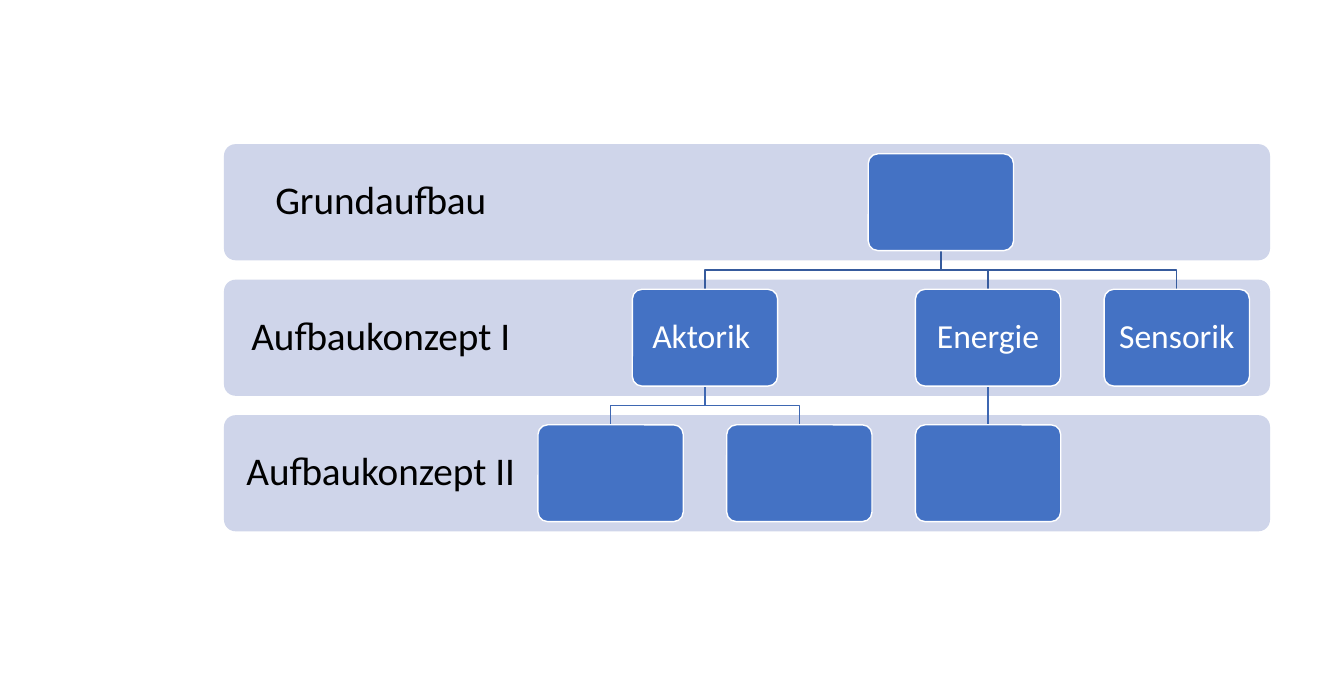
from lxml import etree
from pptx import Presentation
from pptx import util as u
from pptx.dml.color import RGBColor
from pptx.enum import shapes, text
from pptx.oxml.ns import qn

# Content: one band per level; a node is (column, caption)
LEVELS = [
    ("Grundaufbau", [(1.75, "")]),
    ("Aufbaukonzept I", [(0.5, "Aktorik "), (2, "Energie"), (3, "Sensorik")]),
    ("Aufbaukonzept II", [(0, ""), (1, ""), (2, "")]),
]
# Links from each level down to the next: (parent column, child column)
LINKS = [
    [(1.75, 0.5), (1.75, 2), (1.75, 3)],
    [(0.5, 0), (0.5, 1), (2, 2)],
]
COLORS = {"band": "CFD5EA", "node": "4472C4", "white": "FFFFFF", "black": "000000"}
LINK_COLORS = ["365B9D", "3E67B2"]
FONT = "Calibri"

# Geometry in points
PAGE_WIDTH, PAGE_HEIGHT = 960, 481.89
BAND_LEFT, BAND_TOP, BAND_WIDTH, BAND_HEIGHT = 160, 102.9, 747.2, 82.9
LEVEL_STEP = 96.75
LABEL_WIDTH, LABEL_MARGIN = 224, 10
NODE_WIDTH, NODE_HEIGHT, NODE_MARGIN = 103.8, 69.1, 6
FIRST_CENTER, COLUMN_STEP = 436.2, 134.8

deck = Presentation()
deck.slide_width, deck.slide_height = u.Pt(PAGE_WIDTH), u.Pt(PAGE_HEIGHT)
page = deck.slides.add_slide(deck.slide_layouts[6])


def center_x(column):
    return FIRST_CENTER + column * COLUMN_STEP


def node_top(level):
    return BAND_TOP + level * LEVEL_STEP + (BAND_HEIGHT - NODE_HEIGHT) / 2


def add_box(left, top, width, height, fill, line=None):
    box = page.shapes.add_shape(shapes.MSO_SHAPE.ROUNDED_RECTANGLE,
                                u.Pt(left), u.Pt(top), u.Pt(width), u.Pt(height))
    box.adjustments[0] = 0.1
    box.shadow.inherit = False
    box.fill.solid()
    box.fill.fore_color.rgb = RGBColor.from_string(COLORS[fill])
    if line:
        box.line.color.rgb = RGBColor.from_string(COLORS[line])
        box.line.width = u.Pt(1)
    else:
        box.line.fill.background()
    return box


def write(box, words, size, color, margin, right_margin):
    frame = box.text_frame
    frame.word_wrap = True
    frame.vertical_anchor = text.MSO_ANCHOR.MIDDLE
    frame.margin_left, frame.margin_right = u.Pt(margin), u.Pt(right_margin)
    para = frame.paragraphs[0]
    para.alignment = text.PP_ALIGN.CENTER
    para.line_spacing = 0.9
    span = para.add_run()
    span.text = words
    span.font.name, span.font.size = FONT, u.Pt(size)
    span.font.color.rgb = RGBColor.from_string(COLORS[color])


def add_link(level, parent, child):
    start, end = center_x(parent), center_x(child)
    top, bottom = node_top(level) + NODE_HEIGHT, node_top(level + 1)
    if parent == child:
        link = page.shapes.add_connector(shapes.MSO_CONNECTOR.STRAIGHT,
                                         u.Pt(start), u.Pt(top), u.Pt(end), u.Pt(bottom))
        etree.SubElement(link.element.spPr, qn("a:effectLst"))
    else:
        middle = (top + bottom) / 2
        corners = [(start, middle), (end, middle), (end, bottom)]
        builder = page.shapes.build_freeform(u.Pt(start), u.Pt(top))
        builder.add_line_segments([(u.Pt(x), u.Pt(y)) for x, y in corners], close=False)
        link = builder.convert_to_shape()
        link.fill.background()
        link.shadow.inherit = False
    link.line.color.rgb = RGBColor.from_string(LINK_COLORS[level])
    link.line.width = u.Pt(1)


# Level bands with their labels at the left
for level, (label, nodes) in enumerate(LEVELS):
    band = add_box(BAND_LEFT, BAND_TOP + level * LEVEL_STEP, BAND_WIDTH, BAND_HEIGHT, "band")
    write(band, label, 28, "black", LABEL_MARGIN, BAND_WIDTH - LABEL_WIDTH + LABEL_MARGIN)

# Links between levels
for level, pairs in enumerate(LINKS):
    for parent, child in pairs:
        add_link(level, parent, child)

# Nodes
for level, (label, nodes) in enumerate(LEVELS):
    for column, caption in nodes:
        node = add_box(center_x(column) - NODE_WIDTH / 2, node_top(level),
                       NODE_WIDTH, NODE_HEIGHT, "node", "white")
        if caption:
            write(node, caption, 24, "white", NODE_MARGIN, NODE_MARGIN)

deck.save("out.pptx")
